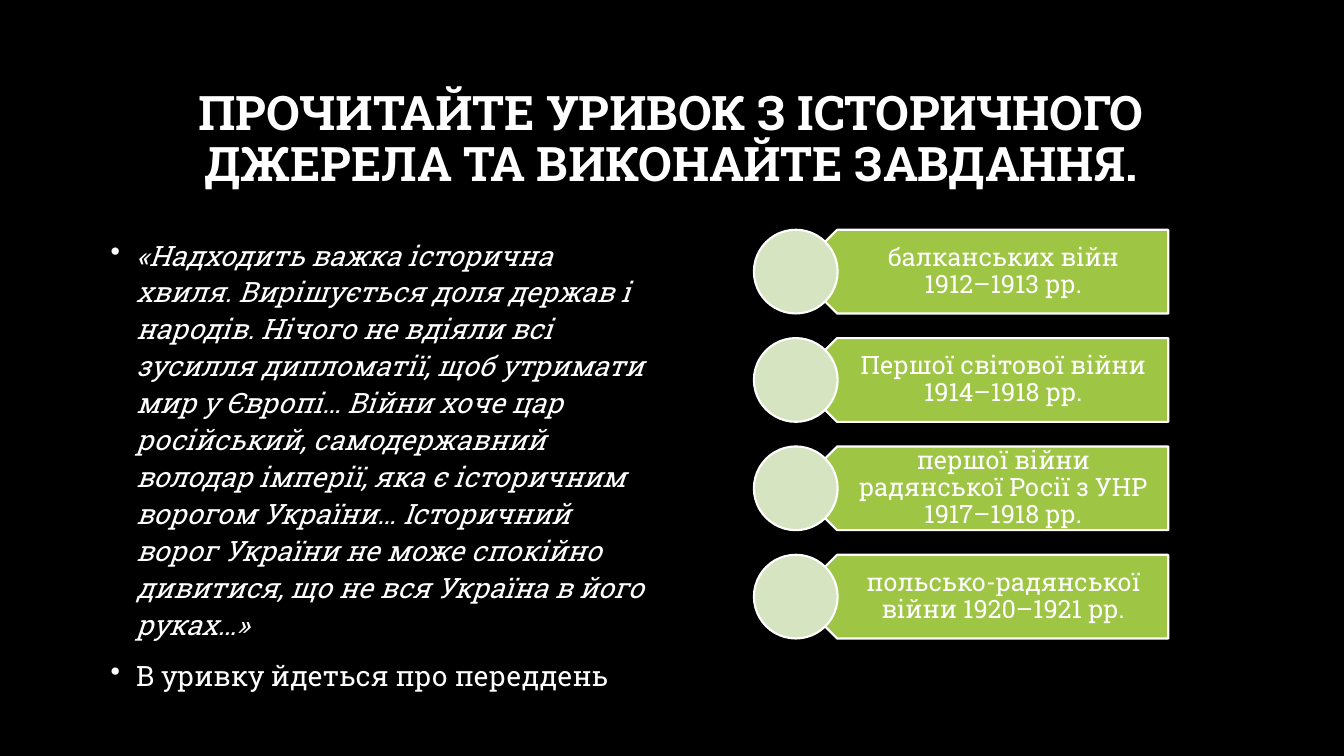
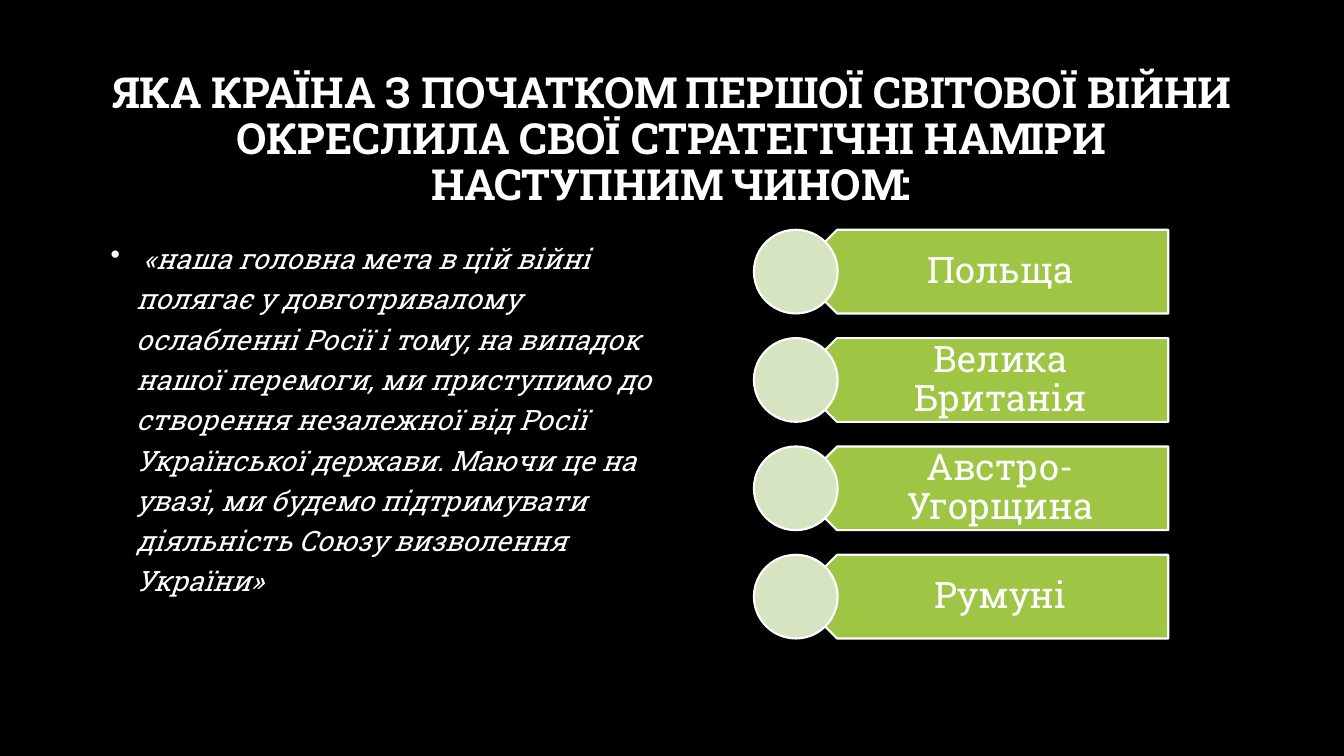
from dataclasses import dataclass

from lxml import etree
from pptx import Presentation
from pptx.dml.color import RGBColor
from pptx.enum.shapes import MSO_SHAPE
from pptx.enum.text import MSO_ANCHOR, MSO_AUTO_SIZE, PP_ALIGN
from pptx.oxml.ns import qn
from pptx.util import Cm, Pt

BLACK = RGBColor(0x00, 0x00, 0x00)
WHITE = RGBColor(0xFF, 0xFF, 0xFF)
GREEN = RGBColor(0x9E, 0xC5, 0x44)
PALE = RGBColor(0xD6, 0xE4, 0xC1)

FONT = "Roboto Slab"
PLATE, OVAL = MSO_SHAPE.PENTAGON, MSO_SHAPE.OVAL
MIDDLE, TOP = MSO_ANCHOR.MIDDLE, MSO_ANCHOR.TOP
CENTER, LEFT = PP_ALIGN.CENTER, PP_ALIGN.LEFT
FIXED = MSO_AUTO_SIZE.NONE

# Shared layout, in centimetres
WIDE, HIGH = 33.87, 19.05
HEAD = (2.54, 1.7, 28.75, 3.68)
BODY = (2.54, 5.79, 14.17, 10.29)
ROW_TOP, ROW_STEP, ROW_HIGH = 5.79, 2.73, 2.11
PLATE_X, PLATE_W = 20.04, 9.4
LABEL_X, LABEL_W = 20.57, 8.87
DOT_X = 19
INDENT = 0.64


@dataclass
class Quote:
    text: str
    italic: bool = True


@dataclass
class Task:
    title: str
    size: float
    quotes: list[Quote]
    lead: float
    names: list[str]
    name_size: float
    pads: tuple[float, float, float, float]  # left, top, right, bottom


TASKS = [
    Task(
        "ПРОЧИТАЙТЕ УРИВОК З ІСТОРИЧНОГО ДЖЕРЕЛА ТА ВИКОНАЙТЕ ЗАВДАННЯ.",
        34,
        [
            Quote(
                "«Надходить важка історична хвиля. Вирішується доля держав і "
                "народів. Нічого не вдіяли всі зусилля дипломатії, щоб утримати "
                "мир у Європі… Війни хоче цар російський, самодержавний володар "
                "імперії, яка є історичним ворогом України… Історичний ворог "
                "України не може спокійно дивитися, що не вся Україна в його "
                "руках…»"
            ),
            Quote("В уривку йдеться про переддень", italic=False),
        ],
        1.1,
        [
            "балканських війн 1912–1913 рр.",
            "Першої світової війни 1914–1918 рр.",
            "першої війни радянської Росії з УНР 1917–1918 рр.",
            "польсько-радянської війни 1920–1921 рр.",
        ],
        18,
        (0.92, 0.18, 0.36, 0.18),
    ),
    Task(
        "ЯКА КРАЇНА З ПОЧАТКОМ ПЕРШОЇ СВІТОВОЇ ВІЙНИ ОКРЕСЛИЛА СВОЇ "
        "СТРАТЕГІЧНІ НАМІРИ НАСТУПНИМ ЧИНОМ:",
        30.6,
        [
            Quote(
                " «наша головна мета в цій війні полягає у довготривалому "
                "ослабленні Росії і тому, на випадок нашої перемоги, ми "
                "приступимо до створення незалежної від Росії Української "
                "держави. Маючи це на увазі, ми будемо підтримувати діяльність "
                "Союзу визволення України»"
            ),
        ],
        1.2,
        ["Польща", "Велика Британія", "Австро-Угорщина", "Румуні"],
        26,
        (0.92, 0.28, 0.5, 0.28),
    ),
]


def apply(target, **values) -> None:
    for name, value in values.items():
        setattr(target, name, value)


def place(shape, box: tuple) -> None:
    names = ("left", "top", "width", "height")
    apply(shape, **{name: Cm(value) for name, value in zip(names, box)})


def write(para, text: str, size: float, lead: float, align, **marks) -> None:
    apply(para, line_spacing=lead, alignment=align)
    run = para.add_run()
    run.text = text
    apply(run.font, name=FONT, size=Pt(size), **marks)
    run.font.color.rgb = WHITE


def add_bullet(para) -> None:
    props = para._p.get_or_add_pPr()
    props.set("marL", str(Cm(INDENT)))
    props.set("indent", str(-Cm(INDENT)))
    etree.SubElement(props, qn("a:buChar")).set("char", "•")


def add_title(slide, task: Task) -> None:
    title = slide.shapes.title
    place(title, HEAD)
    frame = title.text_frame
    apply(frame, word_wrap=True, auto_size=FIXED, vertical_anchor=MIDDLE)
    write(frame.paragraphs[0], task.title, task.size, 0.9, CENTER, bold=True)


def add_body(slide, task: Task) -> None:
    frame = slide.shapes.add_textbox(*map(Cm, BODY)).text_frame
    apply(frame, word_wrap=True, auto_size=FIXED, vertical_anchor=TOP)
    for i, quote in enumerate(task.quotes):
        para = frame.add_paragraph() if i else frame.paragraphs[0]
        add_bullet(para)
        write(para, quote.text, 20, task.lead, LEFT, italic=quote.italic)
        para.space_before = Pt(10 if i else 0)


def add_form(slide, kind, box: tuple, color: RGBColor, turn: float = 0) -> None:
    form = slide.shapes.add_shape(kind, *map(Cm, box))
    form.rotation = turn
    form.shadow.inherit = False
    form.fill.solid()
    form.fill.fore_color.rgb = color
    form.line.color.rgb = WHITE
    form.line.width = Pt(1.5)


def add_row(slide, task: Task, name: str, top: float) -> None:
    add_form(slide, PLATE, (PLATE_X, top, PLATE_W, ROW_HIGH), GREEN, 180)
    label = slide.shapes.add_textbox(
        *map(Cm, (LABEL_X, top, LABEL_W, ROW_HIGH))
    )
    frame = label.text_frame
    apply(frame, word_wrap=True, auto_size=FIXED, vertical_anchor=MIDDLE)
    sides = ("left", "top", "right", "bottom")
    apply(frame, **{f"margin_{s}": Cm(p) for s, p in zip(sides, task.pads)})
    write(frame.paragraphs[0], name, task.name_size, 0.9, CENTER)
    add_form(slide, OVAL, (DOT_X, top, ROW_HIGH, ROW_HIGH), PALE)


def main() -> None:
    deck = Presentation()
    apply(deck, slide_width=Cm(WIDE), slide_height=Cm(HIGH))

    # Black ground for every slide
    ground = deck.slide_master.background.fill
    ground.solid()
    ground.fore_color.rgb = BLACK

    for task in TASKS:
        slide = deck.slides.add_slide(deck.slide_layouts[5])
        add_title(slide, task)
        add_body(slide, task)
        # Answer choices, one row each
        for i, name in enumerate(task.names):
            add_row(slide, task, name, ROW_TOP + i * ROW_STEP)

    deck.save("out.pptx")


if __name__ == "__main__":
    main()
